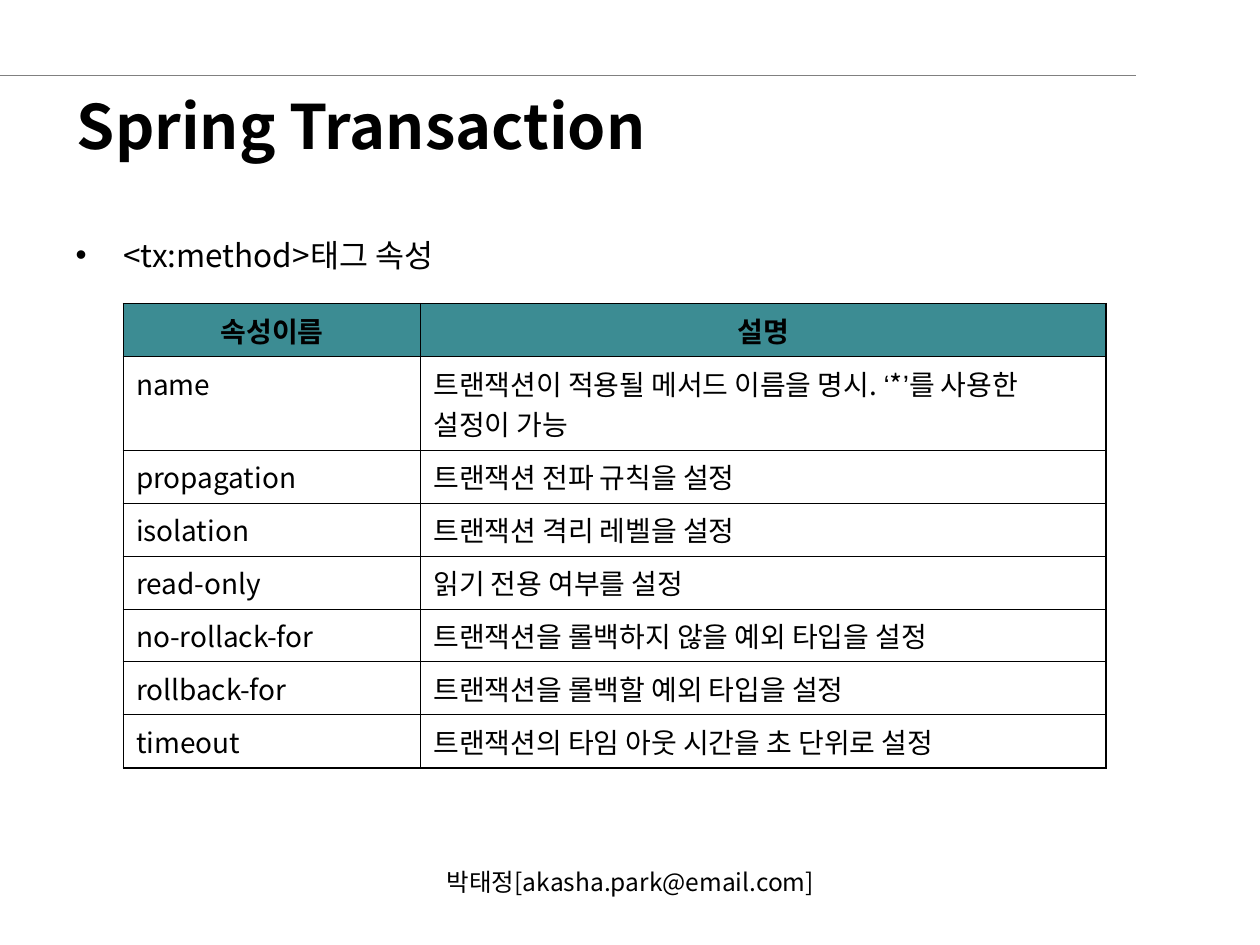
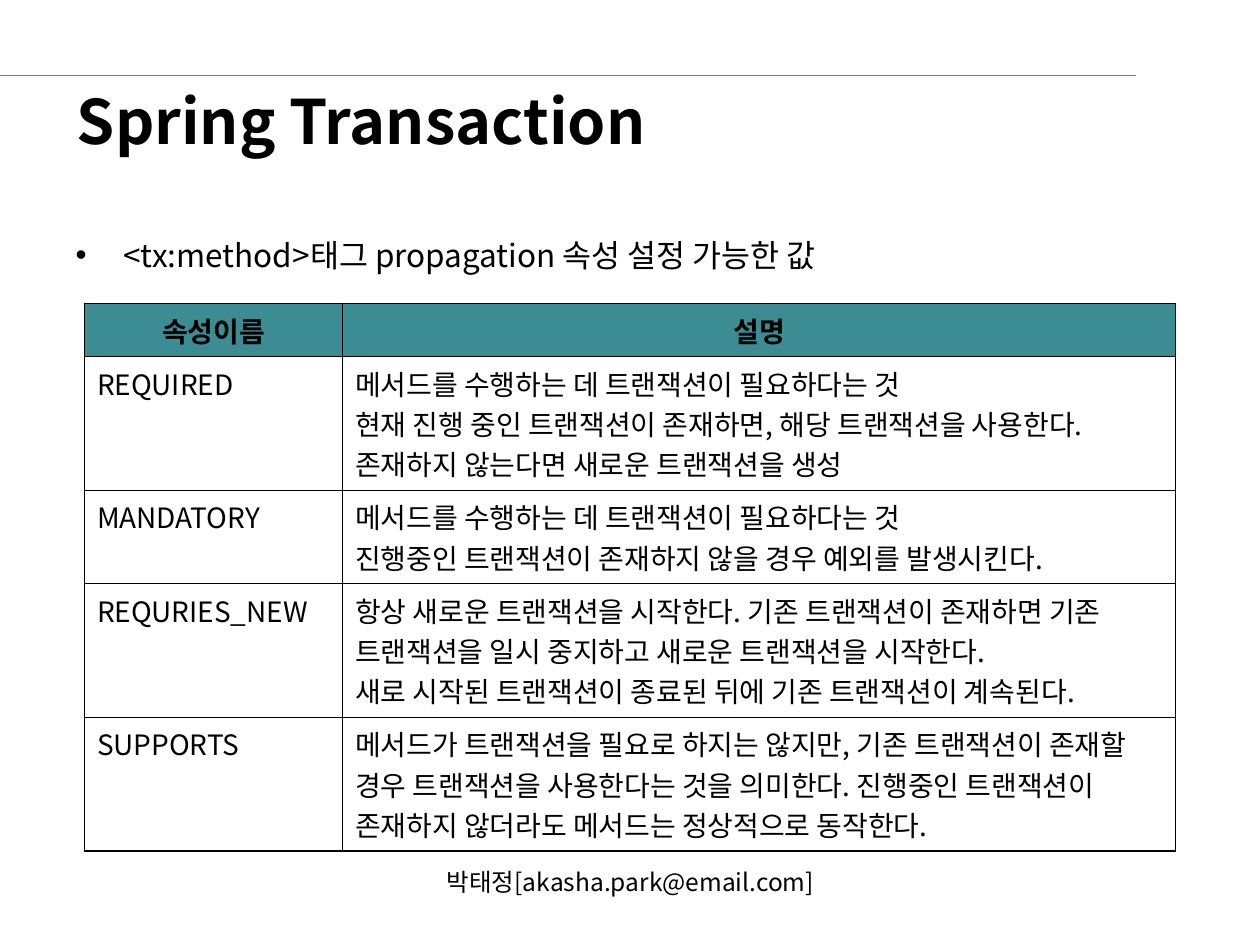
import pptx
import pptx.dml.color
import pptx.enum.shapes
import pptx.enum.text
import pptx.oxml.ns
import pptx.util
from lxml import etree

Inches, Pt = pptx.util.Inches, pptx.util.Pt
RGBColor = pptx.dml.color.RGBColor
PP_ALIGN = pptx.enum.text.PP_ALIGN
qn = pptx.oxml.ns.qn

BLACK = RGBColor(0x00, 0x00, 0x00)
GRAY = RGBColor(0x80, 0x80, 0x80)
TEAL = RGBColor(0x3C, 0x8C, 0x93)
FONT = "Noto Sans CJK KR"
QUOTE_FONT = "Arial"
OUTER_BORDER, INNER_BORDER = 1.08, 0.45

TITLE = "Spring Transaction"
FOOTER = "박태정[akasha.park@email.com]"
HEADER = ("속성이름", "설명")
TABLE_TOP = 2.41
HEADER_HEIGHT = 0.42
LINE_HEIGHT = 0.32

# Each table row: name, description, number of lines the description takes
SLIDES = [
    {
        "title_height": 0.78,
        "bullet": "<tx:method>태그 속성",
        "left": 0.98,
        "columns": (2.36, 5.44),
        "rows": [
            ("name", "트랜잭션이 적용될 메서드 이름을 명시. ‘*’를 사용한 설정이 가능", 2),
            ("propagation", "트랜잭션 전파 규칙을 설정", 1),
            ("isolation", "트랜잭션 격리 레벨을 설정", 1),
            ("read-only", "읽기 전용 여부를 설정", 1),
            ("no-rollack-for", "트랜잭션을 롤백하지 않을 예외 타입을 설정", 1),
            ("rollback-for", "트랜잭션을 롤백할 예외 타입을 설정", 1),
            ("timeout", "트랜잭션의 타임 아웃 시간을 초 단위로 설정", 1),
        ],
    },
    {
        "title_height": 0.7,
        "bullet": "<tx:method>태그 propagation 속성 설정 가능한 값",
        "left": 0.67,
        "columns": (2.05, 6.61),
        "rows": [
            ("REQUIRED", "메서드를 수행하는 데 트랜잭션이 필요하다는 것\n"
             "현재 진행 중인 트랜잭션이 존재하면, 해당 트랜잭션을 사용한다. "
             "존재하지 않는다면 새로운 트랜잭션을 생성", 3),
            ("MANDATORY", "메서드를 수행하는 데 트랜잭션이 필요하다는 것\n"
             "진행중인 트랜잭션이 존재하지 않을 경우 예외를 발생시킨다.", 2),
            ("REQURIES_NEW", "항상 새로운 트랜잭션을 시작한다. 기존 트랜잭션이 존재하면 "
             "기존 트랜잭션을 일시 중지하고 새로운 트랜잭션을 시작한다.\n"
             "새로 시작된 트랜잭션이 종료된 뒤에 기존 트랜잭션이 계속된다.", 3),
            ("SUPPORTS", "메서드가 트랜잭션을 필요로 하지는 않지만, 기존 트랜잭션이 존재할 "
             "경우 트랜잭션을 사용한다는 것을 의미한다. 진행중인 트랜잭션이 "
             "존재하지 않더라도 메서드는 정상적으로 동작한다.", 3),
        ],
    },
]


def place(box, left, top, width, height):
    box.left, box.top = Inches(left), Inches(top)
    box.width, box.height = Inches(width), Inches(height)


def add_span(para, text, size, bold=False, font=FONT):
    span = para.add_run()
    span.text = text
    span.font.size = Pt(size)
    span.font.bold = bold
    span.font.color.rgb = BLACK
    span.font.name = font
    etree.SubElement(span.font._element, qn("a:ea"), typeface=font)


def add_spans(para, text, size, bold=False):
    """Write text with line breaks, setting curly quotes in their own font."""
    for number, line in enumerate(text.split("\n")):
        if number:
            para.add_line_break()
        pieces = line.replace("‘", "\t‘\t").replace("’", "\t’\t").split("\t")
        for piece in filter(None, pieces):
            add_span(para, piece, size, bold, QUOTE_FONT if piece in "‘’" else FONT)


def add_border(cell, side, width):
    edge = etree.SubElement(cell._tc.get_or_add_tcPr(), qn("a:ln" + side),
                            w=str(Pt(width)))
    fill = etree.SubElement(edge, qn("a:solidFill"))
    etree.SubElement(fill, qn("a:srgbClr"), val=str(BLACK))


def add_rule(page):
    """Draw the thin line above the title and move it to the shared layout."""
    rule = page.shapes.add_connector(
        pptx.enum.shapes.MSO_CONNECTOR.STRAIGHT,
        Inches(-0.04), Inches(0.6), Inches(9.02), Inches(0.6))
    rule.line.color.rgb = GRAY
    rule.line.width = Pt(0.75)
    etree.SubElement(rule._element.spPr, qn("a:effectLst"))
    page.slide_layout.element.cSld.spTree.append(rule._element)


def fill_placeholders(page, content):
    title, body = page.placeholders
    place(title, 0.51, 0.6, 8.25, content["title_height"])
    place(body, 0.5, 1.88, 6.94, 0.37)
    for box in (title, body):
        box.text_frame.auto_size = pptx.enum.text.MSO_AUTO_SIZE.NONE
        box.text_frame.word_wrap = True

    title.text_frame.vertical_anchor = pptx.enum.text.MSO_ANCHOR.MIDDLE
    para = title.text_frame.paragraphs[0]
    para.alignment = PP_ALIGN.LEFT
    add_span(para, TITLE, 35, bold=True)

    para = body.text_frame.paragraphs[0]
    para.line_spacing = 0.8
    para.space_before = Pt(4.5)
    indent = Inches(0.38)
    properties = para._p.get_or_add_pPr()
    properties.set("marL", str(indent))
    properties.set("indent", str(-indent))
    add_span(para, content["bullet"], 18)


def add_attribute_table(page, content):
    rows = [(*HEADER, 1)] + content["rows"]
    heights = [HEADER_HEIGHT + (lines - 1) * LINE_HEIGHT for *_, lines in rows]
    widths = content["columns"]
    table = page.shapes.add_table(
        len(rows), len(widths), Inches(content["left"]), Inches(TABLE_TOP),
        Inches(sum(widths)), Inches(sum(heights))).table
    table.first_row = table.horz_banding = False
    for column, width in zip(table.columns, widths):
        column.width = Inches(width)

    last_row, last_column = len(rows) - 1, len(widths) - 1
    for r, (*texts, _) in enumerate(rows):
        table.rows[r].height = Inches(heights[r])
        is_header = r == 0
        for c, text in enumerate(texts):
            cell = table.cell(r, c)
            outer = {"L": c == 0, "R": c == last_column,
                     "T": is_header, "B": r == last_row}
            for side, is_outer in outer.items():
                add_border(cell, side, OUTER_BORDER if is_outer else INNER_BORDER)
            if is_header:
                cell.fill.solid()
                cell.fill.fore_color.rgb = TEAL
            else:
                cell.fill.background()
            para = cell.text_frame.paragraphs[0]
            para.alignment = PP_ALIGN.CENTER if is_header else PP_ALIGN.LEFT
            para.space_before = Pt(4)
            add_spans(para, text, 16, bold=is_header)


def add_footer(page):
    box = page.shapes.add_textbox(Inches(3.42), Inches(6.83), Inches(3.17), Inches(0.5))
    box.text_frame.word_wrap = True
    para = box.text_frame.paragraphs[0]
    para.alignment = PP_ALIGN.CENTER
    add_span(para, FOOTER, 14)


def main():
    deck = pptx.Presentation()
    deck.slide_width, deck.slide_height = Inches(10), Inches(7.5)
    layout = deck.slide_layouts.get_by_name("Title and Content")
    for number, content in enumerate(SLIDES):
        page = deck.slides.add_slide(layout)
        if number == 0:
            add_rule(page)
        fill_placeholders(page, content)
        add_attribute_table(page, content)
        add_footer(page)
    deck.save("out.pptx")


if __name__ == "__main__":
    main()
